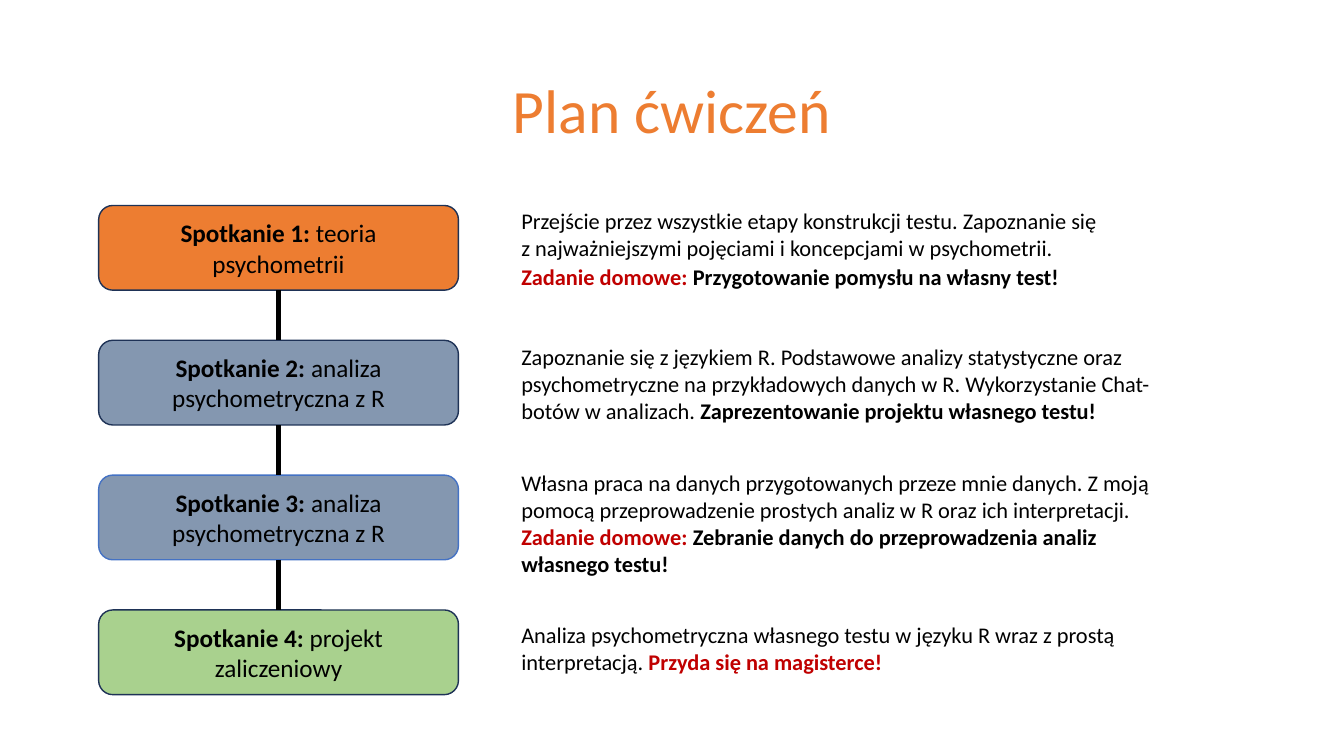
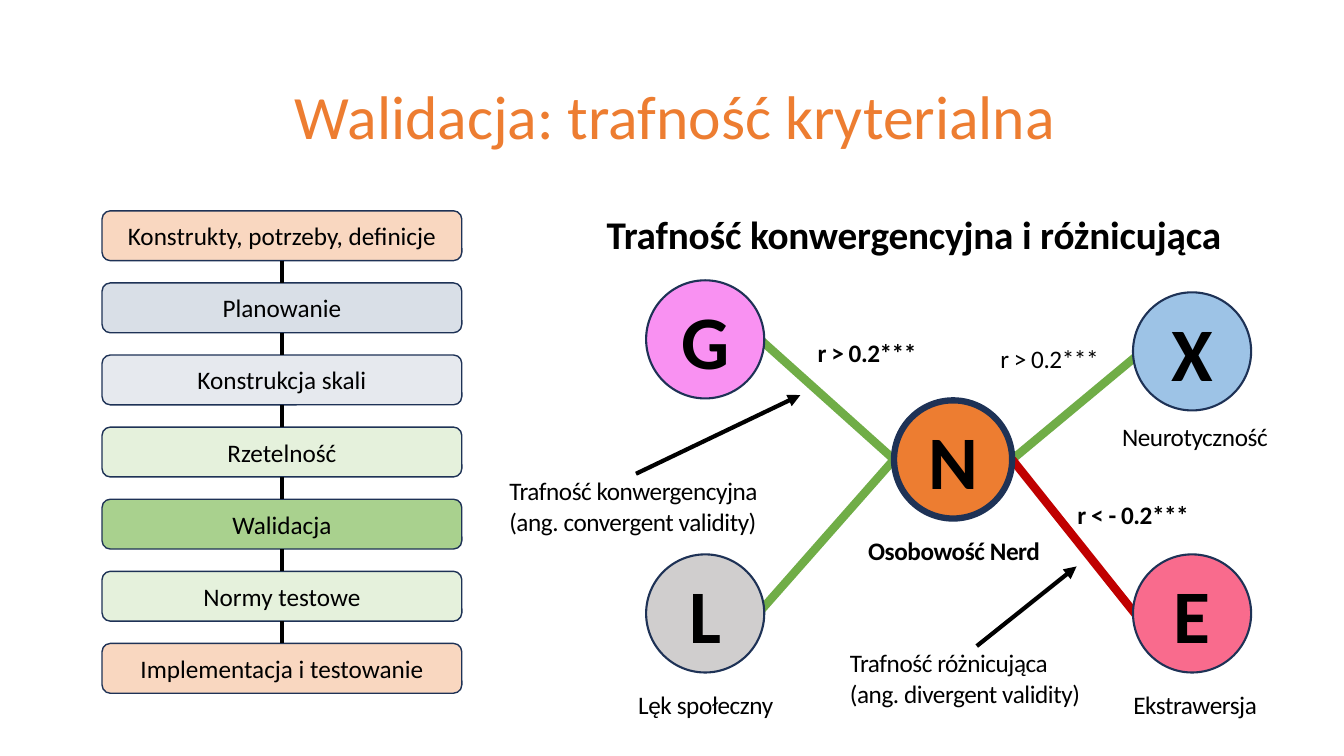
"""Build two slides on a psychometrics course: the class plan and criterion validity."""
from dataclasses import dataclass
from itertools import pairwise

from pptx import Presentation
from pptx.dml.color import RGBColor
from pptx.enum.shapes import MSO_CONNECTOR, MSO_SHAPE
from pptx.enum.text import MSO_ANCHOR, MSO_AUTO_SIZE, PP_ALIGN
from pptx.oxml.ns import qn
from pptx.oxml.xmlchemy import OxmlElement
from pptx.shapes.autoshape import Shape
from pptx.shapes.connector import Connector
from pptx.slide import Slide
from pptx.text.text import TextFrame, _Paragraph
from pptx.util import Pt

STRAIGHT = MSO_CONNECTOR.STRAIGHT
ROUND_RECT, OVAL = MSO_SHAPE.ROUNDED_RECTANGLE, MSO_SHAPE.OVAL
LEFT, CENTER = PP_ALIGN.LEFT, PP_ALIGN.CENTER
MIDDLE = MSO_ANCHOR.MIDDLE
GROW = MSO_AUTO_SIZE.SHAPE_TO_FIT_TEXT
TOP_SIDE, BOTTOM_SIDE = 0, 2
TITLE_ONLY = 5


@dataclass(frozen=True)
class Theme:
    font: str = "Calibri"
    title: int = 44
    letter: int = 54
    heading: int = 28
    label: int = 18
    body: int = 16
    black: str = "000000"
    navy: str = "1E3256"
    blue: str = "4472C4"
    orange: str = "ED7D31"
    slate: str = "8497B0"
    mist: str = "ADB9CA"
    sage: str = "A9D18E"
    green: str = "70AD47"
    red: str = "C00000"
    pink: str = "F991F2"
    grey: str = "D0CECE"
    sky: str = "9DC3E6"
    rose: str = "F96B8D"


T = Theme()


@dataclass(frozen=True)
class Run:
    text: str
    bold: bool = False
    color: str = T.black


@dataclass(frozen=True)
class Box:
    runs: list[Run]
    fill: str
    line: str = T.navy
    alpha: int = 100


@dataclass(frozen=True)
class Note:
    left: float
    top: float
    width: float
    height: float
    paras: list[list[Run]]
    align: PP_ALIGN = LEFT
    size: int = T.label
    spacing: float = -0.3
    before: float = 0.2


@dataclass(frozen=True)
class Circle:
    letter: str
    left: float
    top: float
    fill: str
    line_width: float = 1.5


@dataclass(frozen=True)
class Line:
    x1: float
    y1: float
    x2: float
    y2: float
    color: str = T.black
    width: float = 3
    arrow: bool = False


def rgb(color: str) -> RGBColor:
    return RGBColor.from_string(color)


def add_runs(p: _Paragraph, runs: list[Run], size: int, spacing: float = 0) -> None:
    for run in runs:
        for i, text in enumerate(run.text.split("\n")):
            if i:
                p.add_line_break()
            r = p.add_run()
            r.text = text
            r.font.name, r.font.size, r.font.bold = T.font, Pt(size), run.bold
            r.font.color.rgb = rgb(run.color)
            if spacing:
                r.font._element.set("spc", str(round(spacing * 100)))


def add_title(s: Slide, text: str, left: float, top: float) -> None:
    sp = s.shapes.title
    sp.left, sp.top, sp.width, sp.height = Pt(left), Pt(top), Pt(828), Pt(104.4)
    sp.text_frame.vertical_anchor = MIDDLE
    p = sp.text_frame.paragraphs[0]
    p.alignment, p.line_spacing = CENTER, 0.9
    add_runs(p, [Run(text, color=T.orange)], T.title)


def add_filled(s: Slide, kind: MSO_SHAPE, place: tuple[float, float, float, float],
               box: Box, size: int, line_width: float) -> Shape:
    sp = s.shapes.add_shape(kind, *map(Pt, place))
    sp.shadow.inherit = False
    sp.fill.solid()
    sp.fill.fore_color.rgb = rgb(box.fill)
    if box.alpha < 100:
        alpha = OxmlElement("a:alpha")
        alpha.set("val", str(box.alpha * 1000))
        sp.element.spPr.find(qn("a:solidFill")).find(qn("a:srgbClr")).append(alpha)
    sp.line.color.rgb = rgb(box.line)
    sp.line.width = Pt(line_width)
    tf = sp.text_frame
    tf.word_wrap, tf.vertical_anchor = True, MIDDLE
    tf.paragraphs[0].alignment = CENTER
    add_runs(tf.paragraphs[0], box.runs, size)
    return sp


def add_line(s: Slide, line: Line) -> Connector:
    cn = s.shapes.add_connector(STRAIGHT, Pt(line.x1), Pt(line.y1), Pt(line.x2), Pt(line.y2))
    cn.line.color.rgb = rgb(line.color)
    cn.line.width = Pt(line.width)
    if line.arrow:
        tail = OxmlElement("a:tailEnd")
        tail.set("type", "triangle")
        cn.line._get_or_add_ln().append(tail)
    cn._element.spPr.append(OxmlElement("a:effectLst"))
    return cn


def add_chain(s: Slide, left: float, top: float, height: float, pitch: float,
              boxes: list[Box]) -> None:
    shapes = [add_filled(s, ROUND_RECT, (left, top + i * pitch, 257, height), box, T.label, 1)
              for i, box in enumerate(boxes)]
    for upper, lower in pairwise(shapes):
        cn = add_line(s, Line(0, 0, 0, 0))
        cn.begin_connect(upper, BOTTOM_SIDE)
        cn.end_connect(lower, TOP_SIDE)


def set_insets(tf: TextFrame, top: float) -> None:
    tf.margin_left, tf.margin_top = Pt(0.9), Pt(top)
    tf.margin_right = tf.margin_bottom = 0


def add_note(s: Slide, note: Note) -> None:
    sp = s.shapes.add_textbox(Pt(note.left), Pt(note.top), Pt(note.width), Pt(note.height))
    tf = sp.text_frame
    tf.word_wrap, tf.auto_size = True, GROW
    set_insets(tf, 0.9 + note.before)
    for i, runs in enumerate(note.paras):
        p = tf.add_paragraph() if i else tf.paragraphs[0]
        p.alignment = note.align
        if i:
            p.space_before = Pt(note.before)
        add_runs(p, runs, note.size, note.spacing)


def add_circle(s: Slide, circle: Circle) -> None:
    box = Box([Run(circle.letter, True)], circle.fill)
    add_filled(s, OVAL, (circle.left, circle.top, 84.4, 84.4), box, T.letter, circle.line_width)


def build_plan(s: Slide) -> None:
    add_title(s, "Plan ćwiczeń", 66, 29)
    meetings = [
        ("teoria psychometrii", T.orange, T.navy),
        ("analiza psychometryczna z R", T.slate, T.navy),
        ("analiza psychometryczna z R", T.slate, T.blue),
        ("projekt zaliczeniowy", T.sage, T.navy),
    ]
    add_chain(s, 70.5, 146.8, 60.5, 96.3, [
        Box([Run(f"Spotkanie {i}: ", True), Run(topic)], fill, line)
        for i, (topic, fill, line) in enumerate(meetings, 1)])
    homework = Run("Zadanie domowe: ", True, T.red)
    details = [
        (146.2, 78.5, [
            [Run("Przejście przez wszystkie etapy konstrukcji testu. Zapoznanie się\n"
                 "z najważniejszymi pojęciami i koncepcjami w psychometrii.")],
            [homework, Run("Przygotowanie pomysłu na własny test!", True)]]),
        (243.4, 59, [
            [Run("Zapoznanie się z językiem R. Podstawowe analizy statystyczne oraz "
                 "psychometryczne na przykładowych danych w R. Wykorzystanie Chat-botów "
                 "w analizach. "),
             Run("Zaprezentowanie projektu własnego testu!", True)]]),
        (333.4, 78.5, [
            [Run("Własna praca na danych przygotowanych przeze mnie danych. Z moją pomocą "
                 "przeprowadzenie prostych analiz w R oraz ich interpretacji. "),
             homework,
             Run("Zebranie danych do przeprowadzenia analiz własnego testu!", True)]]),
        (441.4, 39.6, [
            [Run("Analiza psychometryczna własnego testu w języku R wraz z prostą "
                 "interpretacją. "),
             Run("Przyda się na magisterce!", True, T.red)]]),
    ]
    for top, height, paras in details:
        add_note(s, Note(371.5, top, 474, height, paras, size=T.body, spacing=0, before=1.1))


def build_validity(s: Slide) -> None:
    add_title(s, "Walidacja: trafność kryterialna", 68.4, 33)
    stages = [
        ("Konstrukty, potrzeby, definicje", T.orange, 30),
        ("Planowanie", T.slate, 30),
        ("Konstrukcja skali", T.mist, 30),
        ("Rzetelność", T.sage, 30),
        ("Walidacja", T.sage, 100),
        ("Normy testowe", T.sage, 30),
        ("Implementacja i testowanie", T.orange, 30),
    ]
    add_chain(s, 72.9, 150.6, 35.6, 51.5, [
        Box([Run(name)], fill, alpha=alpha) for name, fill, alpha in stages])

    add_note(s, Note(397.4, 148.3, 516, 34.5,
                     [[Run("Trafność konwergencyjna i różnicująca ", True)]],
                     CENTER, T.heading, -0.1, 0.9))
    captions = [
        (619.2, 381.6, 131, "Osobowość Nerd", True, LEFT),
        (800.6, 299.5, 131, "Neurotyczność", False, LEFT),
        (455, 491, 131, "Lęk społeczny", False, LEFT),
        (808.6, 491, 131, "Ekstrawersja", False, LEFT),
        (543.6, 239.8, 150.5, "r > 0.2***", True, CENTER),
        (673.9, 244, 150.5, "r > 0.2***", False, CENTER),
        (733.7, 355.7, 150.5, "r < - 0.2***", True, CENTER),
    ]
    for left, top, width, text, bold, align in captions:
        add_note(s, Note(left, top, width, 23, [[Run(text, bold)]], align))
    for left, top, name, english in [
        (606.2, 461.5, "Trafność różnicująca", "(ang. divergent validity)"),
        (362.9, 338.4, "Trafność konwergencyjna", "(ang. convergent validity)"),
    ]:
        add_note(s, Note(left, top, 183, 44.6, [[Run(name)], [Run(english)]]))

    for line in [
        Line(638.6, 328.2, 540, 239.8, T.green, 6),
        Line(723, 328.2, 817.2, 249.8, T.green, 6),
        Line(540, 440, 638.6, 328.2, T.green, 6),
        Line(817.2, 446.4, 723, 328.2, T.red, 6),
        Line(697.7, 461.5, 769, 404.6, arrow=True),
        Line(454.3, 338.4, 571.7, 282.2, arrow=True),
    ]:
        add_line(s, line)
    for circle in [
        Circle("N", 638.6, 286, T.orange, 4.5),
        Circle("G", 461.5, 200.2, T.pink),
        Circle("L", 461.5, 396, T.grey),
        Circle("X", 809.3, 208.8, T.sky),
        Circle("E", 809.3, 396, T.rose),
    ]:
        add_circle(s, circle)


def main() -> None:
    prs = Presentation()
    prs.slide_width, prs.slide_height = Pt(960), Pt(540)
    for build in (build_plan, build_validity):
        build(prs.slides.add_slide(prs.slide_layouts[TITLE_ONLY]))
    prs.save("out.pptx")


if __name__ == "__main__":
    main()
